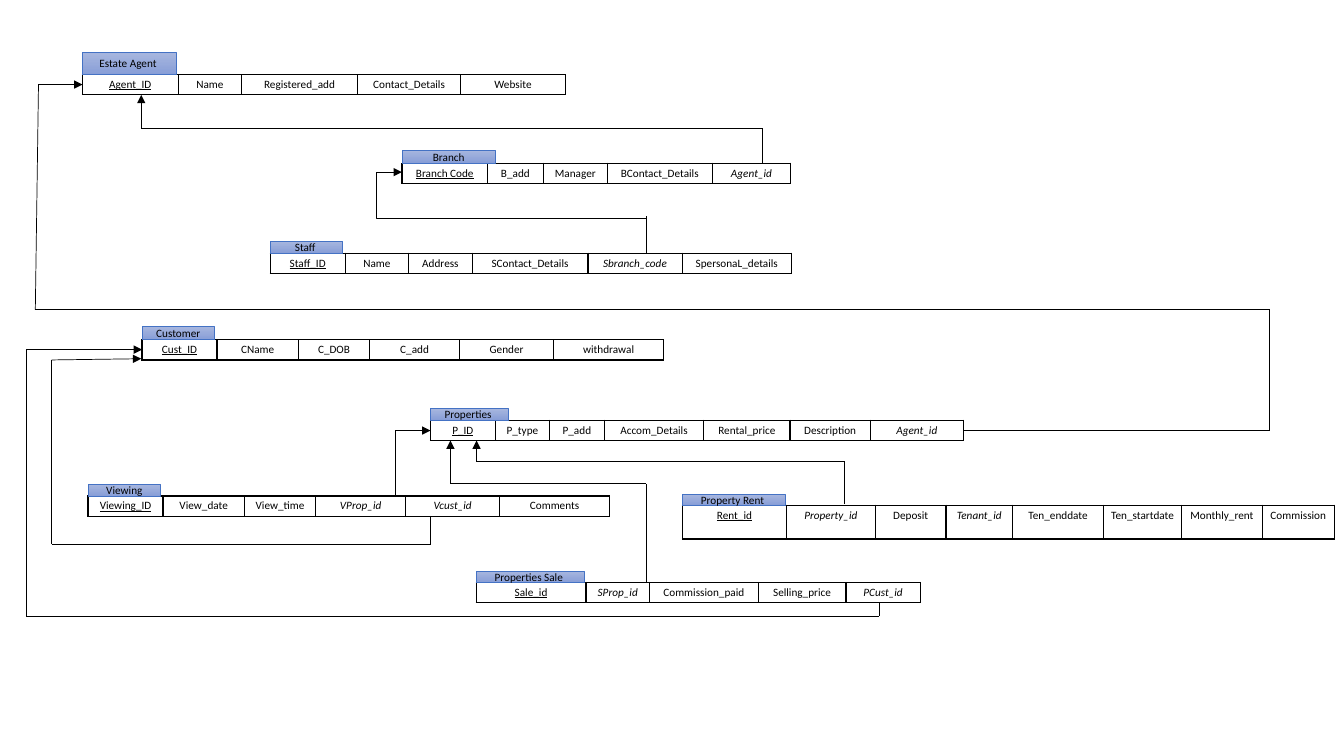
from itertools import pairwise

from lxml.etree import SubElement
from pptx import Presentation
from pptx.dml.color import RGBColor
from pptx.enum.shapes import MSO_CONNECTOR, MSO_SHAPE
from pptx.enum.text import MSO_ANCHOR, PP_ALIGN
from pptx.oxml.ns import qn
from pptx.util import Cm, Pt

BLACK, WHITE, BLUE = "000000", "FFFFFF", "4472C4"
GRADIENT = ("A8B7DF", "889ED7")
ROW_HEIGHT = 0.51
FOREIGN_KEYS = {"Agent_id", "Sbranch_code", "VProp_id", "Vcust_id",
                "SProp_id", "PCust_id", "Property_id", "Tenant_id"}

# Label, label size, table left, top and height, then columns with widths.
ENTITIES = [
    ("Estate Agent ", 2.36, 0.57, 2.08, 1.88, ROW_HEIGHT, {
        "Agent_ID": 2.41, "Name": 1.6, "Registered_add": 2.92,
        "Contact_Details": 2.6, "Website": 2.64}),
    ("Branch", 2.36, 0.33, 10.13, 4.11, ROW_HEIGHT, {
        "Branch Code": 2.16, "B_add": 1.4, "Manager": 1.62,
        "BContact_Details": 2.64, "Agent_id": 1.98}),
    ("Staff ", 1.83, 0.3, 6.81, 6.38, ROW_HEIGHT, {
        "Staff_ID": 1.89, "Name": 1.6, "Address": 1.6,
        "SContact_Details": 2.92, "Sbranch_code": 2.37,
        "SpersonaL_details": 2.76}),
    ("Customer", 1.83, 0.33, 3.58, 8.56, ROW_HEIGHT, {
        "Cust_ID": 1.89, "CName": 2.05, "C_DOB": 1.8, "C_add": 2.26,
        "Gender": 2.38, "withdrawal": 2.76}),
    ("Properties ", 1.96, 0.3, 10.85, 10.59, ROW_HEIGHT, {
        "P_ID": 1.63, "P_type": 1.37, "P_add": 1.38, "Accom_Details": 2.51,
        "Rental_price": 2.17, "Description": 2.03, "Agent_id": 2.34}),
    ("Viewing", 1.83, 0.3, 2.22, 12.5, ROW_HEIGHT, {
        "Viewing_ID": 1.89, "View_date": 2.05, "View_time": 1.8,
        "VProp_id": 2.26, "Vcust_id": 2.38, "Comments": 2.76}),
    ("Property Rent ", 2.59, 0.27, 17.2, 12.73, 0.85, {
        "Rent_id": 2.62, "Property_id": 2.24, "Deposit": 1.78,
        "Tenant_id": 1.68, "Ten_enddate": 2.29, "Ten_startdate": 1.97,
        "Monthly_rent": 2.03, "Commission": 1.82}),
    ("Properties Sale ", 2.72, 0.29, 12, 14.68, ROW_HEIGHT, {
        "Sale_id": 2.77, "SProp_id": 1.6, "Commission_paid": 2.74,
        "Selling_price": 2.21, "PCust_id": 1.87}),
]

# Points of each foreign key route; the last point carries the arrowhead.
ROUTES = {
    "branch to agent": [(19.2, 4.11), (19.2, 3.23), (3.56, 3.23), (3.56, 2.39)],
    "property to agent": [(24.28, 10.85), (32, 10.85), (32, 7.8), (0.89, 7.8),
                          (0.97, 2.13), (2.08, 2.13)],
    "viewing to customer": [(10.85, 13), (10.85, 13.72), (1.3, 13.72),
                            (1.3, 9.07), (3.56, 9.04)],
    "sale to property": [(16.28, 14.68), (16.28, 12.19), (11.35, 12.19),
                         (11.35, 11.1)],
    "sale to customer": [(22.15, 15.19), (22.15, 15.52), (0.66, 15.52),
                         (0.66, 8.81), (3.58, 8.81)],
    "rent to property": [(21.29, 12.7), (21.29, 11.63), (12.01, 11.63),
                         (12.01, 11.1)],
}
STAFF_STUB = ((16.28, 6.38), (16.28, 5.44))
# Start, end and position of the bend in thousandths of a percent.
ELBOWS = [((16.31, 5.51), (10.13, 4.34), 110300),
          ((9.09, 12.5), (10.85, 10.85), 50000)]


def write_text(text_frame, text, size=8, color=BLACK, underline=False, italic=False):
    paragraph = text_frame.paragraphs[0]
    paragraph.alignment = PP_ALIGN.CENTER
    run = paragraph.add_run()
    run.text = text
    run.font.name = "Calibri"
    run.font.size = Pt(size)
    run.font.color.rgb = RGBColor.from_string(color)
    run.font.underline = underline
    run.font.italic = italic


def add_line(start, end, arrow=False, bend=None):
    """Draw a straight line, or an elbow if a bend position is given."""
    kind = MSO_CONNECTOR.STRAIGHT if bend is None else MSO_CONNECTOR.ELBOW
    connector = slide.shapes.add_connector(kind, *map(Cm, start + end))
    connector.line.width = Pt(0.5)
    connector.line.color.rgb = RGBColor.from_string(BLACK)
    properties = connector._element.spPr
    if arrow:
        SubElement(properties.find(qn("a:ln")), qn("a:tailEnd"), type="triangle")
    if bend is not None:
        guides = properties.find(qn("a:prstGeom")).find(qn("a:avLst"))
        SubElement(guides, qn("a:gd"), name="adj1", fmla=f"val {bend}")
    SubElement(properties, qn("a:effectLst"))


presentation = Presentation()
presentation.slide_width = Cm(33.87)
presentation.slide_height = Cm(19.05)
slide = presentation.slides.add_slide(presentation.slide_layouts[6])

for name, label_width, label_height, left, top, height, columns in ENTITIES:
    table = slide.shapes.add_table(
        1, len(columns), Cm(left), Cm(top), Cm(sum(columns.values())), Cm(height)).table
    table.first_row = False
    table.horz_banding = False
    for index, (field, width) in enumerate(columns.items()):
        table.columns[index].width = Cm(width)
        cell = table.cell(0, index)
        cell.margin_left = cell.margin_right = Cm(0.16)
        cell.margin_top = cell.margin_bottom = Cm(0.08)
        cell_properties = cell._tc.get_or_add_tcPr()
        for side in ("lnL", "lnR", "lnT", "lnB"):
            border = SubElement(cell_properties, qn(f"a:{side}"), w=str(Pt(1)))
            SubElement(SubElement(border, qn("a:solidFill")), qn("a:srgbClr"), val=BLACK)
        cell.fill.solid()
        cell.fill.fore_color.rgb = RGBColor.from_string(WHITE)
        write_text(cell.text_frame, field, underline=index == 0,
                   italic=field in FOREIGN_KEYS)

    label = slide.shapes.add_shape(
        MSO_SHAPE.RECTANGLE, Cm(left), Cm(top - label_height),
        Cm(label_width), Cm(label_height))
    label.shadow.inherit = False
    label.fill.gradient()
    label.fill.gradient_angle = 270
    for stop, color in zip(label.fill.gradient_stops, GRADIENT):
        stop.color.rgb = RGBColor.from_string(color)
    label.line.color.rgb = RGBColor.from_string(BLUE)
    label.line.width = Pt(0.5)
    label.text_frame.margin_top = label.text_frame.margin_bottom = 0
    label.text_frame.vertical_anchor = MSO_ANCHOR.MIDDLE
    write_text(label.text_frame, name)

for points in ROUTES.values():
    for start, end in pairwise(points):
        add_line(start, end, arrow=end == points[-1])

add_line(*STAFF_STUB)
for start, end, bend in ELBOWS:
    add_line(start, end, arrow=True, bend=bend)

presentation.save("out.pptx")
